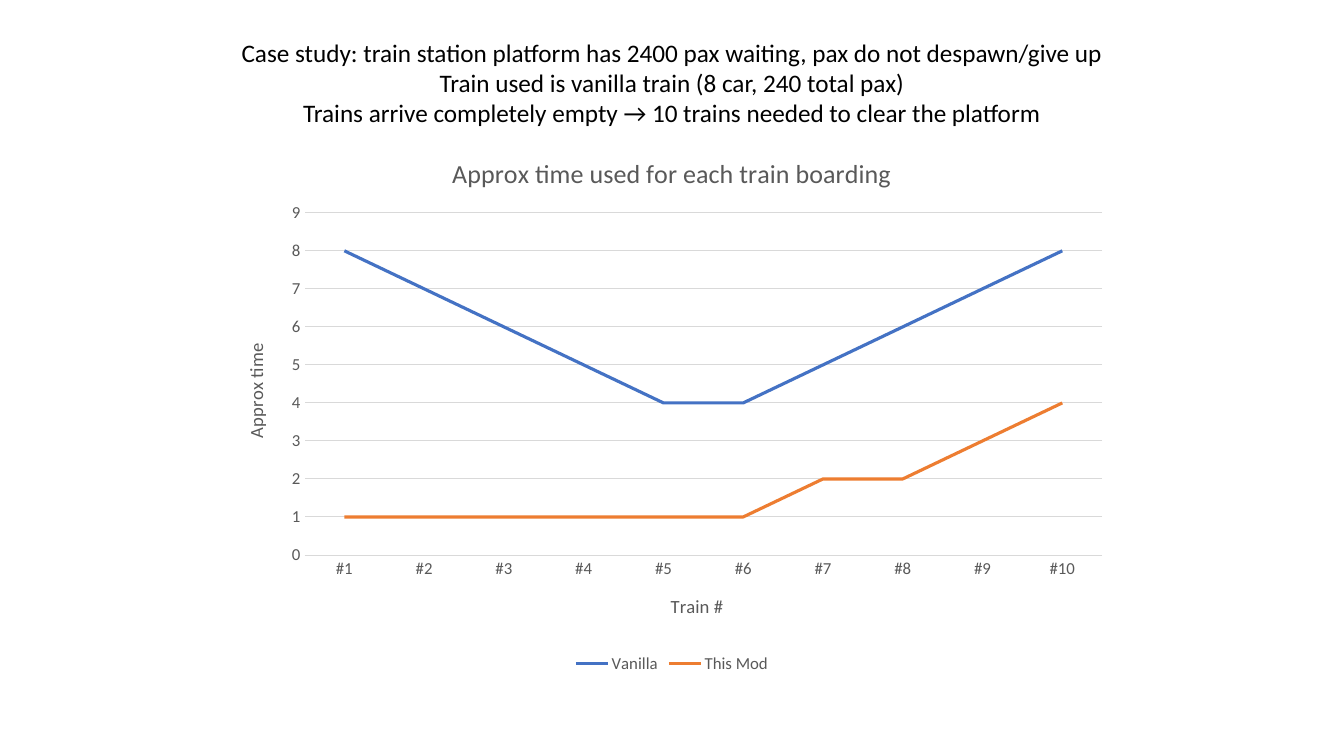
from dataclasses import dataclass

from pptx import Presentation
from pptx.chart.data import CategoryChartData
from pptx.dml.color import RGBColor
from pptx.enum.chart import XL_CHART_TYPE as ChartType
from pptx.enum.chart import XL_LEGEND_POSITION as LegendPosition
from pptx.enum.chart import XL_TICK_MARK as TickMark
from pptx.enum.text import MSO_AUTO_SIZE as AutoSize
from pptx.enum.text import PP_ALIGN as Align
from pptx.oxml import parse_xml
from pptx.oxml.ns import nsdecls
from pptx.util import Inches, Pt

BLACK = RGBColor(0x00, 0x00, 0x00)
GREY = RGBColor(0x59, 0x59, 0x59)
LIGHT_GREY = RGBColor(0xD9, 0xD9, 0xD9)
BLUE = RGBColor(0x44, 0x72, 0xC4)
ORANGE = RGBColor(0xED, 0x7D, 0x31)
FONT = "Calibri"


@dataclass(frozen=True)
class BoardingSeries:
    name: str
    times: tuple[int, ...]
    color: RGBColor


CASE_LINES = (
    "Case study: train station platform has 2400 pax waiting, pax do not despawn/give up",
    "Train used is vanilla train (8 car, 240 total pax)",
    "Trains arrive completely empty → 10 trains needed to clear the platform",
)
BOARDING = (
    BoardingSeries("Vanilla", (8, 7, 6, 5, 4, 4, 5, 6, 7, 8), BLUE),
    BoardingSeries("This Mod", (1, 1, 1, 1, 1, 1, 2, 2, 3, 4), ORANGE),
)
PLOT_LAYOUT = {"x": 0.09, "y": 0.145, "w": 0.89, "h": 0.63}


def set_font(font, size: float, color: RGBColor = GREY) -> None:
    formats = {"name": FONT, "size": Pt(size), "bold": False}
    for attribute, value in formats.items():
        setattr(font, attribute, value)
    font.color.rgb = color


def set_line(line, color: RGBColor, width: float) -> None:
    line.color.rgb = color
    line.width = Pt(width)


def set_title(owner, text: str, size: float) -> None:
    """Title a chart or an axis."""
    title = owner.chart_title if hasattr(owner, "chart_title") else owner.axis_title
    para = title.text_frame.paragraphs[0]
    span = para.add_run()
    span.text = text
    set_font(span.font, size)


def place_plot(chart) -> None:
    """Fix the inner plot area as fractions of the chart."""
    sizes = "".join(f'<c:{key} val="{value}"/>' for key, value in PLOT_LAYOUT.items())
    layout = parse_xml(
        f'<c:layout {nsdecls("c")}><c:manualLayout><c:layoutTarget val="inner"/>'
        f'<c:xMode val="edge"/><c:yMode val="edge"/>{sizes}</c:manualLayout></c:layout>'
    )
    plot_area = chart.plots[0]._element.getparent()
    for automatic in plot_area.findall(layout.tag):
        plot_area.remove(automatic)
    plot_area.insert(0, layout)


def add_case_text(page) -> None:
    box = page.shapes.add_textbox(Inches(1.36), Inches(0.32), Inches(10.61), Inches(1.01))
    frame = box.text_frame
    frame.word_wrap = True
    frame.auto_size = AutoSize.SHAPE_TO_FIT_TEXT
    for index, text in enumerate(CASE_LINES):
        para = frame.add_paragraph() if index else frame.paragraphs[0]
        para.alignment = Align.CENTER
        span = para.add_run()
        span.text = text
        set_font(span.font, 18, BLACK)


def add_boarding_chart(page) -> None:
    data = CategoryChartData()
    data.categories = [f"#{train}" for train in range(1, 11)]
    for series in BOARDING:
        data.add_series(series.name, series.times)
    chart = page.shapes.add_chart(
        ChartType.LINE, Inches(2.22), Inches(1.33), Inches(8.89), Inches(5.39), data
    ).chart
    set_font(chart.font, 12)
    set_title(chart, "Approx time used for each train boarding", 18.6)
    chart.plots[0].vary_by_categories = False
    for line, series in zip(chart.plots[0].series, BOARDING):
        line.smooth = False
        set_line(line.format.line, series.color, 2.25)

    for axis, text in ((chart.category_axis, "Train #"), (chart.value_axis, "Approx time")):
        set_title(axis, text, 13.3)
        set_font(axis.tick_labels.font, 12)
        axis.major_tick_mark = axis.minor_tick_mark = TickMark.NONE
    set_line(chart.category_axis.format.line, LIGHT_GREY, 0.75)
    times = chart.value_axis
    times.minimum_scale, times.maximum_scale, times.major_unit = 0, 9, 1
    times.format.line.fill.background()
    set_line(times.major_gridlines.format.line, LIGHT_GREY, 0.75)

    chart.has_legend = True
    chart.legend.position = LegendPosition.BOTTOM
    chart.legend.include_in_layout = False
    set_font(chart.legend.font, 12)
    place_plot(chart)


def main() -> None:
    deck = Presentation()
    deck.slide_width, deck.slide_height = Inches(13.33), Inches(7.5)
    page = deck.slides.add_slide(deck.slide_layouts[6])
    add_case_text(page)
    add_boarding_chart(page)
    deck.save("out.pptx")


if __name__ == "__main__":
    main()
